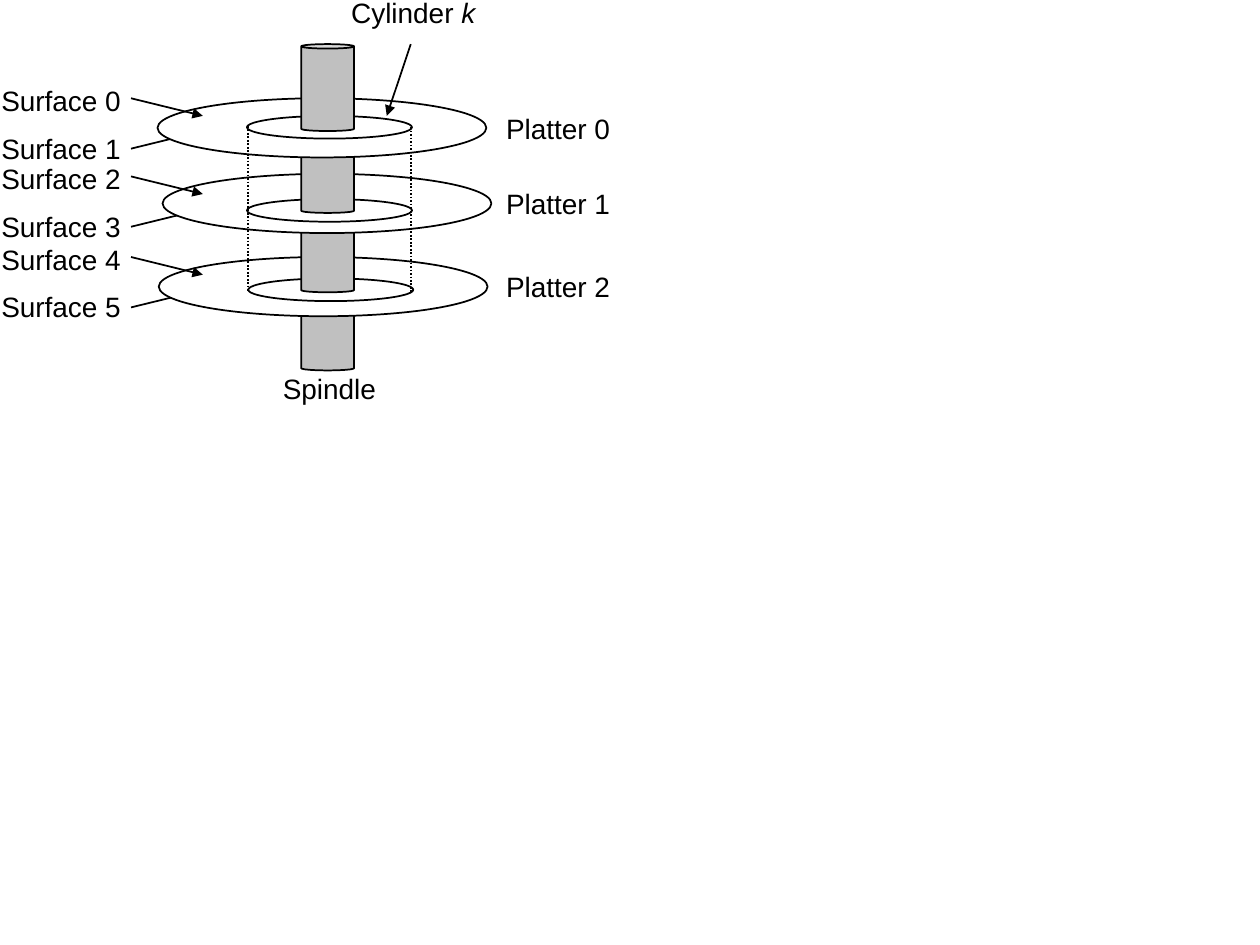
from dataclasses import dataclass

from lxml.etree import SubElement
from pptx import Presentation
from pptx.dml.color import RGBColor as RGB
from pptx.enum.dml import MSO_LINE as Dash
from pptx.enum.shapes import MSO_CONNECTOR as Connector, MSO_SHAPE as Shape
from pptx.enum.text import MSO_ANCHOR as Anchor, MSO_AUTO_SIZE as AutoSize, PP_ALIGN as Align
from pptx.oxml.ns import qn
from pptx.util import Inches, Pt


@dataclass(frozen=True)
class Theme:
    ink: RGB = RGB(0, 0, 0)
    paper: RGB = RGB(255, 255, 255)
    metal: RGB = RGB(192, 192, 192)
    font: str = "Arial"
    size: Pt = Pt(16)
    stroke: Pt = Pt(1)


@dataclass(frozen=True)
class Disk:
    left: float
    top: float
    track_left: float
    track_top: float
    spindle_top: float
    pointer_top: float


class Diagram:
    def __init__(self, slide, theme):
        self.slide = slide
        self.theme = theme

    def outline(self, line):
        line.color.rgb = self.theme.ink
        line.width = self.theme.stroke

    def solid(self, kind, left, top, width, height, color=None):
        solid = self.slide.shapes.add_shape(kind, *map(Inches, (left, top, width, height)))
        solid.shadow.inherit = False
        if color is None:
            solid.fill.background()
        else:
            solid.fill.solid()
            solid.fill.fore_color.rgb = color
        self.outline(solid.line)
        return solid

    def spindle(self, top):
        can = self.solid(Shape.CAN, 2.39, top, 0.42, 0.69, self.theme.metal)
        can.adjustments[0] = 0.085

    def platter(self, left, top):
        self.solid(Shape.OVAL, left, top, 2.61, 0.47, self.theme.paper)

    def track(self, left, top):
        self.solid(Shape.OVAL, left, top, 1.31, 0.18)

    def line(self, x1, y1, x2, y2):
        line = self.slide.shapes.add_connector(
            Connector.STRAIGHT, *map(Inches, (x1, y1, x2, y2)))
        self.outline(line.line)
        SubElement(line._element.spPr, qn("a:effectLst"))
        return line

    def arrow(self, x1, y1, x2, y2):
        arrow = self.line(x1, y1, x2, y2)
        SubElement(arrow.line._get_or_add_ln(), qn("a:tailEnd"), type="triangle")

    def dotted(self, x, top, bottom):
        self.line(x, top, x, bottom).line.dash_style = Dash.ROUND_DOT

    def label(self, text, left, top, width, italic=""):
        box = self.slide.shapes.add_textbox(*map(Inches, (left, top, width, 0.37)))
        frame = box.text_frame
        frame.word_wrap = False
        frame.auto_size = AutoSize.NONE
        frame.vertical_anchor = Anchor.MIDDLE
        paragraph = frame.paragraphs[0]
        paragraph.alignment = Align.CENTER
        font = paragraph.font
        font.name, font.size = self.theme.font, self.theme.size
        font.color.rgb = self.theme.ink
        paragraph.add_run().text = text
        if italic:
            variable = paragraph.add_run()
            variable.text = italic
            variable.font.italic = True


DISKS = [
    Disk(1.25, 0.78, 1.96, 0.92, 1.00, 0.78),
    Disk(1.29, 1.38, 1.96, 1.58, 1.63, 1.40),
    Disk(1.26, 2.04, 1.97, 2.21, 2.25, 2.04),
]


def main():
    deck = Presentation()
    deck.slide_width, deck.slide_height = Inches(10), Inches(7.5)
    diagram = Diagram(deck.slides.add_slide(deck.slide_layouts[6]), Theme())

    for disk in reversed(DISKS):
        underside = disk.pointer_top + 0.4
        diagram.arrow(1.04, underside, 1.61, underside - 0.14)
        diagram.spindle(disk.spindle_top)
        diagram.platter(disk.left, disk.top)
        diagram.track(disk.track_left, disk.track_top)
    diagram.spindle(0.35)

    for number, disk in enumerate(DISKS):
        diagram.arrow(1.04, disk.pointer_top, 1.61, disk.pointer_top + 0.14)
        for side in range(2):
            diagram.label(f"Surface {2 * number + side}",
                          -0.1, disk.pointer_top - 0.17 + 0.38 * side, 1.17)
        diagram.label(f"Platter {number}", 3.9, disk.top + 0.05, 1.06)

    diagram.dotted(1.97, 1.0, 2.31)
    diagram.dotted(3.26, 1.01, 2.32)
    diagram.label("Cylinder ", 2.67, -0.09, 1.22, italic="k")
    diagram.arrow(3.26, 0.35, 3.07, 0.92)
    diagram.label("Spindle", 2.13, 2.9, 0.97)

    deck.save("out.pptx")


if __name__ == "__main__":
    main()
